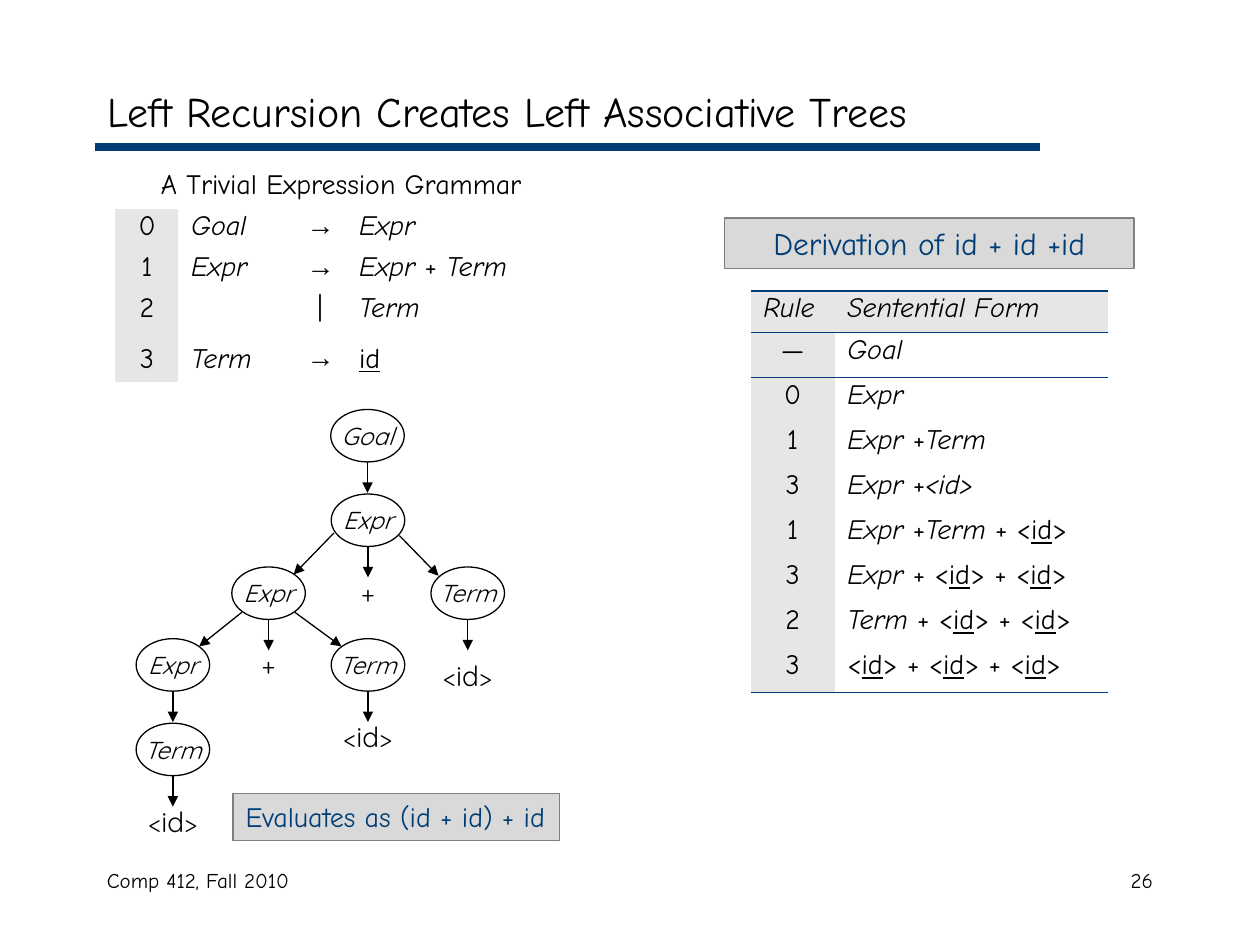
from lxml.etree import SubElement
from pptx import Presentation
from pptx.dml.color import RGBColor
from pptx.enum.shapes import MSO_CONNECTOR as Connector, MSO_SHAPE as Shape
from pptx.enum.text import MSO_ANCHOR as Anchor, MSO_AUTO_SIZE as AutoSize, PP_ALIGN as Align
from pptx.oxml.ns import qn
from pptx.util import Pt

BLACK, NAVY = "000000", "003C75"
CELL_GRAY, BOX_GRAY, EDGE_GRAY = "E6E6E6", "D9D9D9", "7F7F7F"
COMIC, QUICKSAND, ARIAL = "Comic Neue", "Quicksand", "Arial"
PLAIN_TABLE_STYLE = "{2D5ABB26-0587-4C30-8999-92F81FD0307C}"
NODE_WIDTH, NODE_HEIGHT = 42, 30
ARROW_LENGTH = 17.6

GRAMMAR = [
    ("0", "*Goal*", "→", "*Expr*"),
    ("1", "*Expr*", "→", "*Expr* + *Term*"),
    ("2", "", "|", "*Term*"),
    ("3", "*Term*", "→", "_id_"),
]
DERIVATION = [
    ("*Rule*", "*Sentential Form*"),
    ("—", "*Goal*"),
    ("0", "*Expr*"),
    ("1", "*Expr* +*Term*"),
    ("3", "*Expr *+*<id>*"),
    ("1", "*Expr* +*Term *+ <_id_>"),
    ("3", "*Expr* + <_id_> + <_id_>"),
    ("2", "*Term *+ <_id_> + <_id_>"),
    ("3", "<_id_> + <_id_> + <_id_>"),
]
# Centre of each node of the parse tree
NODES = [
    ("Goal", 210, 249), ("Expr", 210.3, 297.3),
    ("Expr", 153.5, 339), ("Term", 267.3, 339),
    ("Expr", 98.8, 380), ("Term", 210.3, 380),
    ("Term", 98.8, 428.3),
]
PLUS_SIGNS = [(210.3, 339), (153.5, 380)]
LEAVES = [(267.3, 385.8), (210.3, 421), (98.8, 469.3)]
BRANCHES = [
    (190.8, 304.6, 167.8, 328.3), (228.2, 306, 250.6, 329),
    (138.2, 349.9, 113.8, 369.4), (168.5, 349.9, 195.1, 369.4),
]


def rgb(color):
    return RGBColor.from_string(color)


def add_run(paragraph, text, size, color=BLACK, font=COMIC, italic=False, underline=False):
    run = paragraph.add_run()
    run.text = text
    run.font.name = font
    run.font.size = Pt(size)
    run.font.color.rgb = rgb(color)
    run.font.italic = italic
    run.font.underline = underline


def add_marked_text(paragraph, markup, size):
    """Add runs, with *italic* and _underlined_ parts."""
    for i, part in enumerate(markup.split("*")):
        for j, piece in enumerate(part.split("_")):
            if piece:
                add_run(paragraph, piece, size, font=ARIAL if piece == "→" else COMIC,
                        italic=i % 2 == 1, underline=j % 2 == 1)


def add_title(slide, text):
    title = slide.shapes.title
    title.left, title.top, title.width, title.height = Pt(54), Pt(42), Pt(612), Pt(42)
    title.text_frame.vertical_anchor = Anchor.MIDDLE
    paragraph = title.text_frame.paragraphs[0]
    paragraph.alignment = Align.LEFT
    add_run(paragraph, text, 24)


def add_footer(slide, text, left, width, align):
    frame = slide.shapes.add_textbox(Pt(left), Pt(492), Pt(width), Pt(36)).text_frame
    frame.word_wrap = True
    frame.paragraphs[0].alignment = align
    add_run(frame.paragraphs[0], text, 12)


def add_line(slide, x1, y1, x2, y2, color=BLACK, width=0.75, arrow=True):
    line = slide.shapes.add_connector(Connector.STRAIGHT, Pt(x1), Pt(y1), Pt(x2), Pt(y2))
    line.line.color.rgb = rgb(color)
    line.line.width = Pt(width)
    properties = line._element.spPr
    if arrow:
        SubElement(properties.find(qn("a:ln")), qn("a:tailEnd"), type="triangle")
    SubElement(properties, qn("a:effectLst"))


def add_box(slide, text, left, top, width, height, size, align, wrap):
    box = slide.shapes.add_shape(Shape.RECTANGLE, Pt(left), Pt(top), Pt(width), Pt(height))
    box.shadow.inherit = False
    box.fill.solid()
    box.fill.fore_color.rgb = rgb(BOX_GRAY)
    box.line.color.rgb = rgb(EDGE_GRAY)
    box.line.width = Pt(0.75)
    frame = box.text_frame
    frame.word_wrap = wrap
    frame.auto_size = AutoSize.SHAPE_TO_FIT_TEXT
    frame.vertical_anchor = Anchor.TOP
    frame.paragraphs[0].alignment = align
    add_run(frame.paragraphs[0], text, size, NAVY)


def add_node(slide, x, y, outlined):
    """Add an ellipse centred on (x, y) and return its paragraph."""
    node = slide.shapes.add_shape(Shape.OVAL, Pt(x - NODE_WIDTH / 2), Pt(y - NODE_HEIGHT / 2),
                                  Pt(NODE_WIDTH), Pt(NODE_HEIGHT))
    node.shadow.inherit = False
    node.fill.background()
    if outlined:
        node.line.color.rgb = rgb(BLACK)
        node.line.width = Pt(0.75)
    else:
        node.line.fill.background()
    node.text_frame.word_wrap = False
    node.text_frame.vertical_anchor = Anchor.MIDDLE
    paragraph = node.text_frame.paragraphs[0]
    paragraph.alignment = Align.CENTER
    return paragraph


def add_parse_tree(slide):
    for label, x, y in NODES:
        add_run(add_node(slide, x, y, True), label, 14, font=QUICKSAND, italic=True)
        bottom = y + NODE_HEIGHT / 2
        add_line(slide, x, bottom, x, bottom + ARROW_LENGTH)
    for x, y in PLUS_SIGNS:
        add_run(add_node(slide, x, y, False), "+", 14, font=QUICKSAND)
    for x, y in LEAVES:
        paragraph = add_node(slide, x, y, False)
        for text, size in (("<", 14), ("id", 16), (">", 14)):
            add_run(paragraph, text, size, font=QUICKSAND)
    for branch in BRANCHES:
        add_line(slide, *branch)


def add_plain_table(slide, left, top, column_widths, row_heights):
    frame = slide.shapes.add_table(len(row_heights), len(column_widths), Pt(left), Pt(top),
                                   Pt(sum(column_widths)), Pt(sum(row_heights)))
    table = frame.table
    table.first_row = table.horz_banding = False
    table._tbl.tblPr.find(qn("a:tableStyleId")).text = PLAIN_TABLE_STYLE
    for column, width in zip(table.columns, column_widths):
        column.width = Pt(width)
    for row, height in zip(table.rows, row_heights):
        row.height = Pt(height)
    return table


def fill_cell(cell, markup, centered, shaded):
    if shaded:
        cell.fill.solid()
        cell.fill.fore_color.rgb = rgb(CELL_GRAY)
    else:
        cell.fill.background()
    paragraph = cell.text_frame.paragraphs[0]
    paragraph.alignment = Align.CENTER if centered else Align.LEFT
    paragraph.line_spacing = 0.8
    add_marked_text(paragraph, markup, 16)


def add_borders(cell, borders):
    """Draw (tag, width) borders, given in the order top, bottom."""
    properties = cell._tc.get_or_add_tcPr()
    for position, (tag, width) in enumerate(borders):
        line = SubElement(properties, qn(tag), w=str(Pt(width)))
        SubElement(SubElement(line, qn("a:solidFill")), qn("a:srgbClr"), val=NAVY)
        properties.insert(position, line)


def add_grammar(slide):
    table = add_plain_table(slide, 66, 96, (36, 66, 30, 126), (23.4, 23.4, 23.4, 28, 23.4))
    table.cell(0, 0).merge(table.cell(0, 3))
    fill_cell(table.cell(0, 0), "A Trivial Expression Grammar", True, False)
    for row, texts in enumerate(GRAMMAR, 1):
        for column, text in enumerate(texts):
            fill_cell(table.cell(row, column), text, column in (0, 2), column == 0)


def add_derivation(slide):
    last = len(DERIVATION) - 1
    table = add_plain_table(slide, 429, 166.2, (48, 156), [24] + [25.7] * last)
    borders = {0: [("a:lnT", 1.08), ("a:lnB", 0.45)], 1: [("a:lnT", 0.45)], last: [("a:lnB", 1.08)]}
    for row, texts in enumerate(DERIVATION):
        for column, text in enumerate(texts):
            cell = table.cell(row, column)
            fill_cell(cell, text, row > 0 and column == 0, row == 0 or column == 0)
            add_borders(cell, borders.get(row, []))


def main():
    presentation = Presentation()
    presentation.slide_width, presentation.slide_height = Pt(720), Pt(540)
    slide = presentation.slides.add_slide(presentation.slide_layouts[5])
    add_line(slide, 54, 84, 594, 84, NAVY, 4.5, arrow=False)
    add_footer(slide, "Comp 412, Fall 2010", 54, 228, Align.LEFT)
    add_footer(slide, "26", 516, 150, Align.RIGHT)
    add_derivation(slide)
    add_title(slide, "Left Recursion Creates Left Associative Trees")
    add_grammar(slide)
    add_parse_tree(slide)
    add_box(slide, "Derivation of id + id +id", 414, 124.6, 234, 29, 18, Align.CENTER, True)
    add_box(slide, "Evaluates as (id + id) + id", 133.2, 453.6, 186.5, 26.6, 16, Align.LEFT, False)
    presentation.save("out.pptx")


if __name__ == "__main__":
    main()
